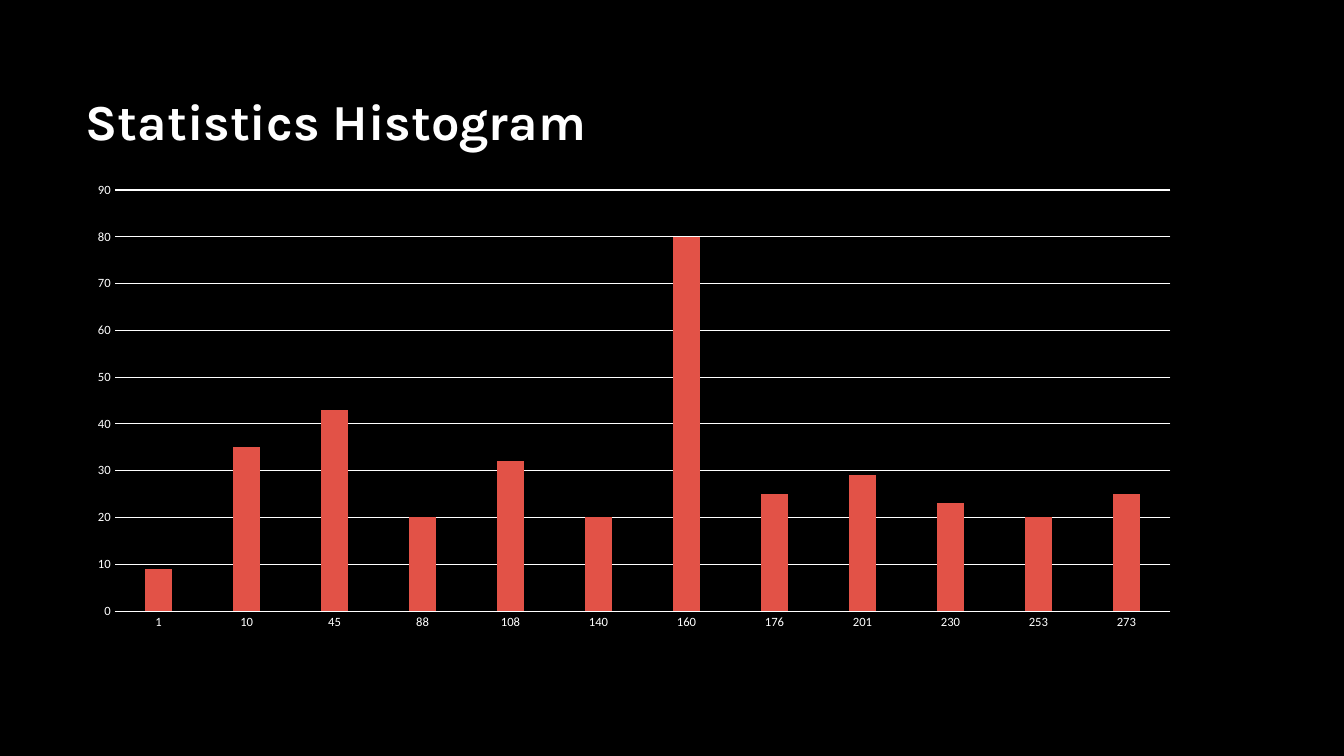
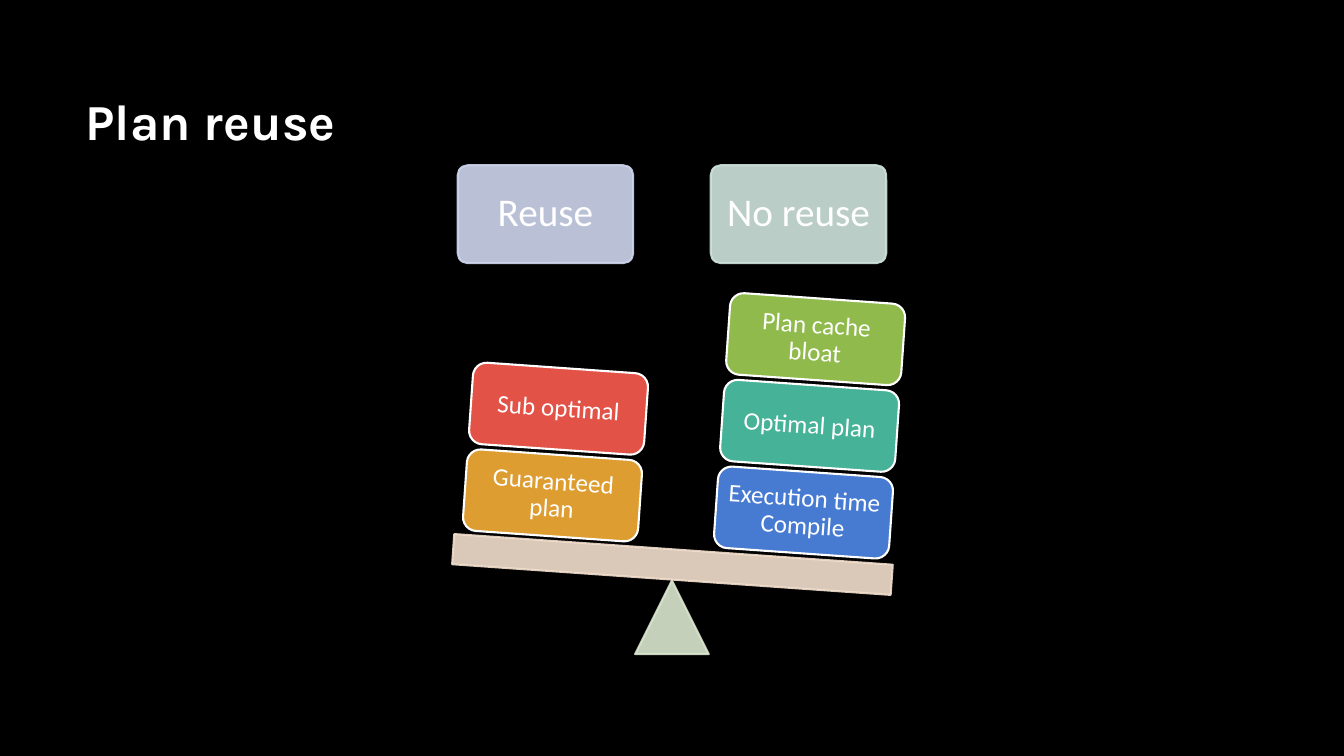
from lxml.etree import SubElement
from pptx import Presentation
from pptx.chart.data import CategoryChartData
from pptx.dml.color import RGBColor
from pptx.enum.chart import XL_CHART_TYPE as Chart, XL_TICK_MARK as Tick
from pptx.enum.shapes import MSO_SHAPE as Preset
from pptx.enum.text import MSO_ANCHOR as Anchor, MSO_AUTO_SIZE as AutoSize, PP_ALIGN as Align
from pptx.oxml.ns import qn
from pptx.util import Inches, Pt

COLORS = {
    "black": "000000", "white": "FFFFFF", "red": "E25247", "orange": "DD9D31",
    "blue": "477BD1", "teal": "46B298", "green": "90BA4C", "pale blue": "CFD7EE",
    "pale teal": "CFE4DD", "pale green": "DBE7D0", "sand": "F2DFCE",
}
RGB = {name: RGBColor.from_string(value) for name, value in COLORS.items()}
LEFT, WIDTH = 0.75, 11.08
TITLE_TOP, TITLE_HEIGHT, CHART_HEIGHT = 0.67, 1.05, 4.62


def write(shape, text, font="Calibri", size=18, bold=False, align=Align.CENTER,
          inset=0.07, spacing=0.9):
    frame = shape.text_frame
    frame.word_wrap = True
    frame.auto_size = AutoSize.NONE
    frame.vertical_anchor = Anchor.MIDDLE
    frame.margin_left = frame.margin_right = Inches(inset)
    frame.margin_top = frame.margin_bottom = Inches(min(inset, 0.07))
    para = frame.paragraphs[0]
    para.alignment, para.line_spacing = align, spacing
    span = para.add_run()
    span.text = text
    span.font.name, span.font.size, span.font.bold = font, Pt(size), bold
    span.font.color.rgb = RGB["white"]


def add_block(page, preset, left, top, width, height, fill, line, tilt=0, opacity=100):
    box = page.shapes.add_shape(preset, *map(Inches, (left, top, width, height)))
    box.shadow.inherit = False
    box.rotation = tilt
    box.fill.solid()
    box.fill.fore_color.rgb = RGB[fill]
    box.line.color.rgb = RGB[line]
    box.line.width = Pt(1.5)
    if opacity < 100:
        for color in list(box.element.spPr.iter(qn("a:srgbClr"))):
            SubElement(color, qn("a:alpha")).set("val", str(opacity * 1000))
    return box


# Deck with a black background and one title style
deck = Presentation()
deck.slide_width, deck.slide_height = Inches(13.33), Inches(7.5)
backdrop = deck.slide_master.background.fill
backdrop.solid()
backdrop.fore_color.rgb = RGB["black"]
pages = []
for heading in ("Statistics Histogram", "Plan reuse"):
    page = deck.slides.add_slide(deck.slide_layouts[5])
    title = page.shapes.title
    title.left, title.top = Inches(LEFT), Inches(TITLE_TOP)
    title.width, title.height = Inches(WIDTH), Inches(TITLE_HEIGHT)
    write(title, heading, font="Karla", size=36, bold=True, align=Align.LEFT,
          inset=0.1, spacing=1.0)
    pages.append(page)
histogram_page, reuse_page = pages

# Histogram
data = CategoryChartData()
data.categories = ["1", "10", "45", "88", "108", "140",
                   "160", "176", "201", "230", "253", "273"]
data.add_series("Series 1", (9, 35, 43, 20, 32, 20, 80, 25, 29, 23, 20, 25))
chart = histogram_page.shapes.add_chart(
    Chart.COLUMN_CLUSTERED, Inches(LEFT), Inches(TITLE_TOP + TITLE_HEIGHT),
    Inches(WIDTH), Inches(CHART_HEIGHT), data).chart
chart.has_title = chart.has_legend = False
chart.font.name, chart.font.size = "Calibri", Pt(10)
chart.font.color.rgb = RGB["white"]
plot = chart.plots[0]
plot.gap_width, plot.overlap, plot.vary_by_categories = 219, -27, False
columns = plot.series[0].format.fill
columns.solid()
columns.fore_color.rgb = RGB["red"]

for axis in (chart.category_axis, chart.value_axis):
    axis.major_tick_mark = axis.minor_tick_mark = Tick.NONE
    labels = axis.tick_labels.font
    labels.name, labels.size = "Calibri", Pt(9)
    labels.color.rgb = RGB["white"]
values = chart.value_axis
values.minimum_scale, values.maximum_scale, values.major_unit = 0, 90, 10
values.has_major_gridlines = True
values.format.line.fill.background()
for line in (chart.category_axis.format.line, values.major_gridlines.format.line):
    line.color.rgb = RGB["white"]
    line.width = Pt(0.75)

# Headers above the two sides of the scale
TILT = 4
BLOCK_WIDTH, BLOCK_HEIGHT = 1.74, 0.81
for left, text, color in ((4.54, "Reuse", "pale blue"), (7.05, "No reuse", "pale teal")):
    header = add_block(reuse_page, Preset.ROUNDED_RECTANGLE, left, 1.64,
                       BLOCK_WIDTH, 0.97, color, color, opacity=90)
    header.adjustments[0] = 0.1
    write(header, text, size=28, inset=0.11)

# Pivot and tilted beam
add_block(reuse_page, Preset.ISOSCELES_TRIANGLE, 6.3, 5.76, 0.73, 0.73,
          "pale green", "pale green", opacity=90)
add_block(reuse_page, Preset.RECTANGLE, 4.49, 5.45, 4.36, 0.3,
          "sand", "sand", tilt=TILT, opacity=90)

# Weights stacked from the beam upwards, leaning with it
STEP_RIGHT, STEP_UP = 0.06, 0.86
stacks = (
    (7.1, 4.68, (("Execution time Compile", "blue"), ("Optimal plan", "teal"),
                 ("Plan cache bloat", "green"))),
    (4.61, 4.51, (("Guaranteed plan", "orange"), ("Sub optimal", "red"))),
)
for left, top, weights in stacks:
    for level, (text, color) in enumerate(weights):
        weight = add_block(reuse_page, Preset.ROUNDED_RECTANGLE,
                           left + level * STEP_RIGHT, top - level * STEP_UP,
                           BLOCK_WIDTH, BLOCK_HEIGHT, color, "white", tilt=TILT)
        write(weight, text)

deck.save("out.pptx")
